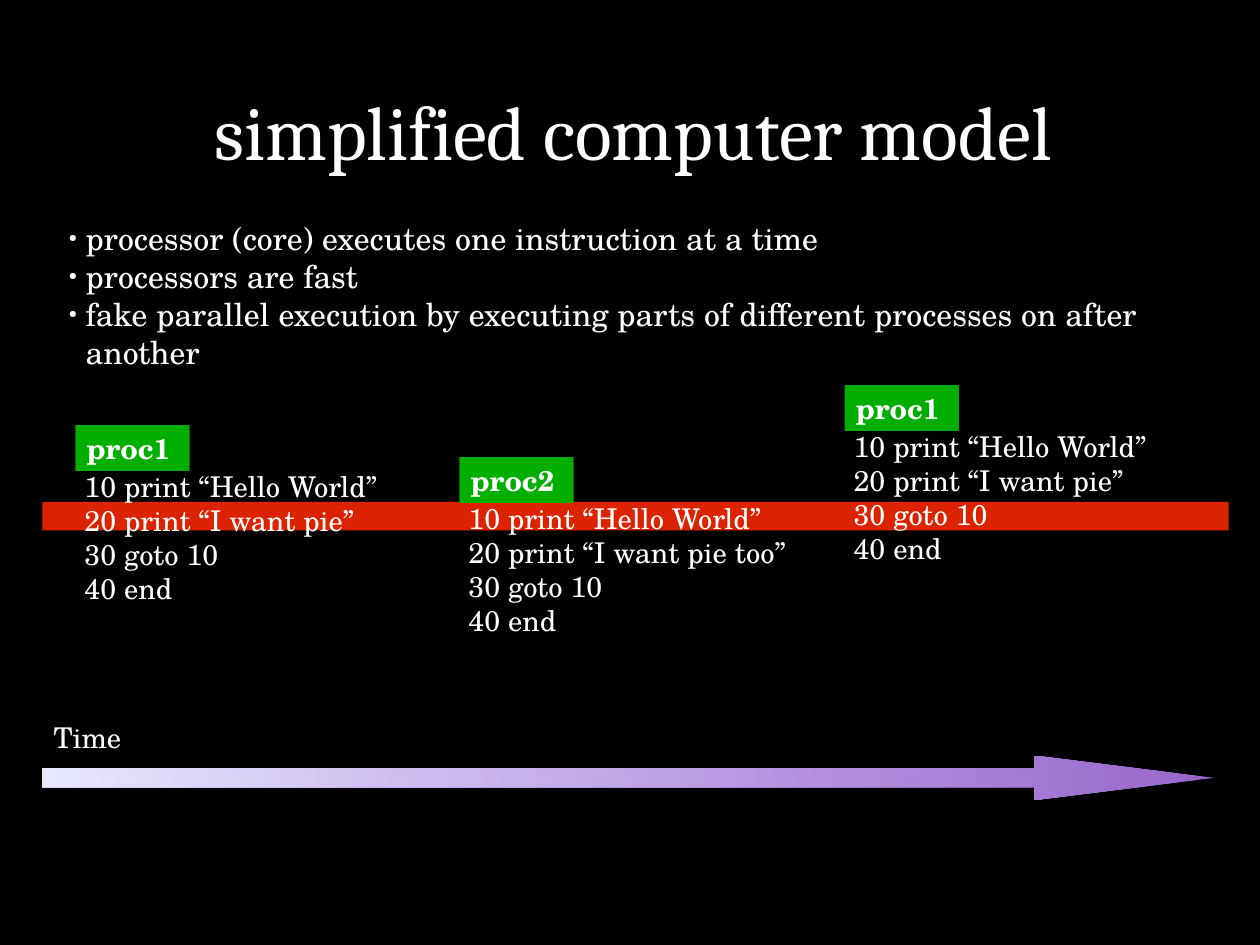
import pptx
import pptx.util
import pptx.oxml
import pptx.oxml.ns
from pptx.dml.color import RGBColor
from pptx.enum.shapes import MSO_SHAPE
from pptx.enum.text import MSO_ANCHOR, MSO_AUTO_SIZE, PP_ALIGN
from pptx.util import Inches

BLACK = RGBColor(0x00, 0x00, 0x00)
WHITE = RGBColor(0xFF, 0xFF, 0xFF)
RED = RGBColor(0xDC, 0x23, 0x00)
GREEN = RGBColor(0x00, 0xAE, 0x00)
PURPLE = RGBColor(0x99, 0x66, 0xCC)
LAVENDER = RGBColor(0xE6, 0xE6, 0xFF)

TITLE_FONT = "Cambria"
TEXT_FONT = "TeX Gyre Schola"

BULLETS = [
    "processor (core) executes one instruction at a time",
    "processors are fast",
    "fake parallel execution by executing parts of different processes on after another",
]
PIE_CODE = ["10 print “Hello World”", "20 print “I want pie”", "30 goto 10", "40 end"]
PIE_TOO_CODE = [PIE_CODE[0], "20 print “I want pie too”", *PIE_CODE[2:]]

# Name, code, left and top of each process
PROCESSES = [
    ("proc1", PIE_CODE, 0.64, 3.72),
    ("proc2", PIE_TOO_CODE, 4.0, 4.0),
    ("proc1", PIE_CODE, 7.37, 3.37),
]


def add_bullet(paragraph, indent=0.15):
    properties = paragraph._p.get_or_add_pPr()
    properties.set("marL", str(Inches(indent)))
    properties.set("indent", str(-Inches(indent)))
    namespace = pptx.oxml.ns.nsdecls("a")
    for markup in (
        f'<a:buClr {namespace}><a:srgbClr val="{WHITE}"/></a:buClr>',
        f'<a:buSzPct {namespace} val="45000"/>',
        f'<a:buChar {namespace} char="●"/>',
    ):
        properties.append(pptx.oxml.parse_xml(markup))


def write_text(shape, lines, size=18, font=TEXT_FONT, bold=False, bullets=False,
               align=PP_ALIGN.LEFT, anchor=MSO_ANCHOR.TOP, margins=(0.1, 0.05)):
    frame = shape.text_frame
    frame.word_wrap = True
    frame.auto_size = MSO_AUTO_SIZE.NONE
    frame.vertical_anchor = anchor
    frame.margin_left = frame.margin_right = Inches(margins[0])
    frame.margin_top = frame.margin_bottom = Inches(margins[1])
    for index, line in enumerate(lines):
        paragraph = frame.paragraphs[0] if index == 0 else frame.add_paragraph()
        if bullets:
            add_bullet(paragraph)
        paragraph.alignment = align
        paragraph.space_before = pptx.util.Pt(0)
        run = paragraph.add_run()
        run.text = line
        run.font.name = font
        run.font.size = pptx.util.Pt(size)
        run.font.bold = bold
        run.font.color.rgb = WHITE


def place(shape, left, top, width, height):
    shape.left, shape.top = Inches(left), Inches(top)
    shape.width, shape.height = Inches(width), Inches(height)


def add_block(shapes, kind, left, top, width, height, color=None):
    block = shapes.add_shape(kind, Inches(left), Inches(top), Inches(width), Inches(height))
    block.shadow.inherit = False
    block.line.fill.background()
    if color is not None:
        block.fill.solid()
        block.fill.fore_color.rgb = color
    return block


def add_label(shapes, lines, left, top, width, height):
    label = shapes.add_textbox(Inches(left), Inches(top), Inches(width), Inches(height))
    write_text(label, lines)


def fill_title(slide, left, top, width, height):
    title = slide.shapes.title
    place(title, left, top, width, height)
    write_text(title, ["simplified computer model"], size=48, font=TITLE_FONT,
               align=PP_ALIGN.CENTER, anchor=MSO_ANCHOR.MIDDLE, margins=(0, 0))


def fill_body(slide, left, top, width, height):
    body = slide.placeholders[1]
    place(body, left, top, width, height)
    write_text(body, BULLETS, size=20, bullets=True)


def add_process(slide, name, code, left, top):
    group = slide.shapes.add_group_shape()
    add_label(group.shapes, code, left, top + 0.33, 3.25, 1.3)
    badge = add_block(group.shapes, MSO_SHAPE.RECTANGLE, left + 0.02, top, 1, 0.4, GREEN)
    write_text(badge, [name], bold=True)


def add_timeline(slide, left, top, width, height):
    label_height, arrow_height = 0.4, 0.39
    arrow = add_block(slide.shapes, MSO_SHAPE.RIGHT_ARROW, left,
                      top + height - arrow_height, width, arrow_height)
    arrow.adjustments[0] = 0.42
    arrow.adjustments[1] = 4.03
    arrow.fill.gradient()
    arrow.fill.gradient_angle = 180
    for stop, position, color in zip(arrow.fill.gradient_stops, (0, 1), (PURPLE, LAVENDER)):
        stop.position = position
        stop.color.rgb = color
    add_label(slide.shapes, ["Time"], left, top, 1.75, label_height)


def main():
    presentation = pptx.Presentation()
    # 28 by 21 cm page, in whole quarter points
    presentation.slide_width = pptx.util.Pt(793.75)
    presentation.slide_height = pptx.util.Pt(595.25)
    slide = presentation.slides.add_slide(presentation.slide_layouts[1])
    slide.background.fill.solid()
    slide.background.fill.fore_color.rgb = BLACK

    # Heading and bullet list
    fill_title(slide, 0.58, 0.5, 9.92, 1.28)
    fill_body(slide, 0.5, 1.86, 10.23, 1.1)

    # Band marking the instruction being executed
    add_block(slide.shapes, MSO_SHAPE.RECTANGLE, 0.37, 4.39, 10.38, 0.25, RED)

    # Processes, shifted so the current line meets the band
    for name, code, left, top in PROCESSES:
        add_process(slide, name, code, left, top)

    # Time axis
    add_timeline(slide, 0.37, 6.25, 10.25, 0.75)

    presentation.save("out.pptx")


if __name__ == "__main__":
    main()
